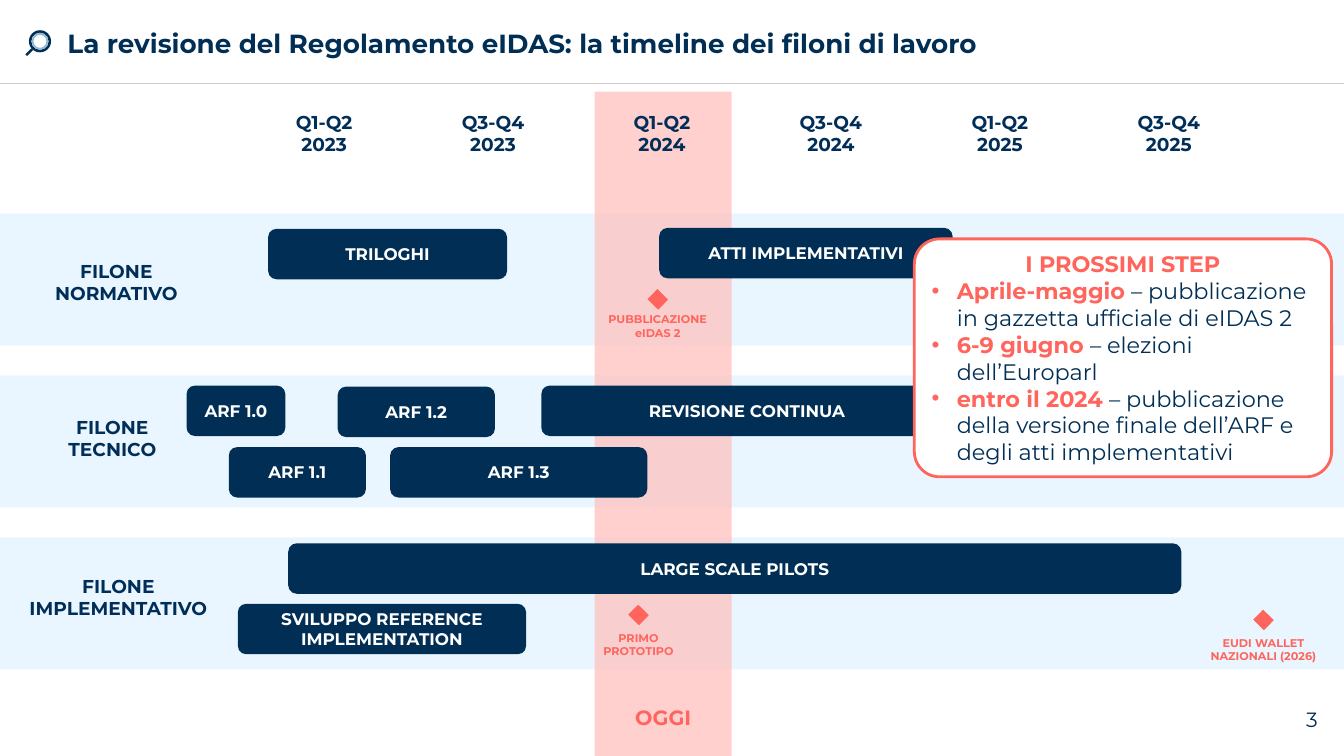
from dataclasses import dataclass
from lxml import etree
from pptx import Presentation
from pptx.dml.color import RGBColor
from pptx.enum.shapes import MSO_CONNECTOR as Line, MSO_SHAPE as Shape
from pptx.enum.text import MSO_ANCHOR as Anchor, PP_ALIGN as Align
from pptx.oxml.ns import qn
from pptx.util import Inches, Pt


@dataclass(frozen=True)
class Theme:
    """Colours, font and type sizes of the slide."""
    navy: str = "002E54"
    label: str = "002E58"
    coral: str = "FF655C"
    today: str = "FFC1BE"
    lane: str = "D4ECFF"
    steel: str = "91B9D0"
    rule: str = "CCCCCC"
    white: str = "FFFFFF"
    font: str = "Montserrat"
    title: float = 18.7
    step: float = 16
    note: float = 14.7
    head: float = 13.3
    bar: float = 12
    tiny: float = 8


T = Theme()
WIDTH, HEIGHT = 13.333, 7.5
LANE_TOP, LANE_PITCH, LANE_H = 28.27, 21.4, 17.47
BAR_H = 6.67

PERIODS = [f"{half}\n{year}" for year in (2023, 2024, 2025) for half in ("Q1-Q2", "Q3-Q4")]
LANES = [
    dict(label=("FILONE NORMATIVO", 8.66, 5.47, 12.4),
         bars=[("TRILOGHI", 19.95, 2, 17.78), ("ATTI IMPLEMENTATIVI", 49.05, 1.87, 21.83)],
         marks=[("PUBBLICAZIONE\neIDAS 2", 48.94, 11.33, 12.4)]),
    dict(label=("FILONE TECNICO", 8.36, 4.67, 12.4),
         bars=[("ARF 1.0", 13.88, 1.33, 7.35), ("ARF 1.1", 17.03, 9.47, 10.2),
               ("ARF 1.2", 25.13, 1.47, 11.7), ("ARF 1.3", 29.03, 9.47, 19.13),
               ("REVISIONE CONTINUA", 40.28, 1.33, 30.6)],
         marks=[]),
    dict(label=("FILONE IMPLEMENTATIVO", 8.81, 4.27, 15.5),
         bars=[("LARGE SCALE PILOTS", 21.45, 0.8, 66.45),
               ("SVILUPPO REFERENCE IMPLEMENTATION", 17.7, 8.8, 21.45)],
         marks=[("PRIMO\nPROTOTIPO", 47.51, 10.27, 11.73),
                ("EUDI WALLET NAZIONALI (2026)", 94.01, 10.93, 12.4)]),
]
STEPS = [
    ("Aprile-maggio", " – pubblicazione in gazzetta ufficiale di eIDAS 2"),
    ("6-9 giugno ", "– elezioni dell’Europarl"),
    ("entro il 2024 ", "– pubblicazione della versione finale dell’ARF e degli atti implementativi"),
]


def at(x, y, w, h):
    """Turn percentages of the slide into lengths."""
    return [Inches(v * side / 100) for v, side in zip((x, y, w, h), (WIDTH, HEIGHT) * 2)]


def style(r, size, color, bold=True):
    """Set the font of a run."""
    for name, value in dict(name=T.font, size=Pt(size), bold=bold).items():
        setattr(r.font, name, value)
    r.font.color.rgb = RGBColor.from_string(color)


def write(sp, text, size, color, bold=True, align=Align.CENTER, anchor=Anchor.TOP):
    """Fill a shape with one paragraph per line of text."""
    tf = sp.text_frame
    tf.word_wrap, tf.vertical_anchor = True, anchor
    for i, line in enumerate(text.split("\n")):
        p = tf.paragraphs[0] if i == 0 else tf.add_paragraph()
        p.alignment = align
        r = p.add_run()
        r.text = line
        style(r, size, color, bold)


def add_text(s, box, text, size, color, **kw):
    """Add a text box."""
    write(s.shapes.add_textbox(*at(*box)), text, size, color, **kw)


def add_shape(s, kind, box, fill, alpha=None, line=None):
    """Add a flat preset shape."""
    sp = s.shapes.add_shape(kind, *at(*box))
    sp.shadow.inherit = False
    sp.fill.solid()
    sp.fill.fore_color.rgb = RGBColor.from_string(fill)
    if alpha:
        clr = sp.fill._xPr.find(qn("a:solidFill"))[0]
        etree.SubElement(clr, qn("a:alpha"), val=str(alpha * 1000))
    if line:
        sp.line.color.rgb = RGBColor.from_string(line)
        sp.line.width = Pt(2)
    else:
        sp.line.fill.background()
    return sp


def add_line(s, start, end, color, width):
    """Add a straight line between two points."""
    x1, y1, x2, y2 = at(*start, *end)
    c = s.shapes.add_connector(Line.STRAIGHT, x1, y1, x2, y2)
    c.line.color.rgb = RGBColor.from_string(color)
    c.line.width = Pt(width)
    etree.SubElement(c._element.spPr, qn("a:effectLst"))


def add_header(s, box):
    """Draw the lens, the title and the rule below."""
    x, y, w, h = box
    add_line(s, (x + 1.95, y + 7.3), (x + 2.4, y + 6.5), T.navy, 1.8)
    for inset, color in ((0, T.navy), (0.2, T.steel)):
        ring = (x + 2.15 + inset, y + 4 + inset * 1.78, 1.65 - 2 * inset, 2.93 - 3.56 * inset)
        add_shape(s, Shape.DONUT, ring, color).adjustments[0] = 0.11
    add_text(s, (x + 4.28, y + 0.27, w - 8.05, h - 0.27),
             "La revisione del Regolamento eIDAS: la timeline dei filoni di lavoro",
             T.title, T.navy, align=Align.LEFT, anchor=Anchor.MIDDLE)
    add_line(s, (x, y + h), (x + w, y + h), T.rule, 1)


def add_today(s, box):
    """Draw the column that marks the present."""
    x, y, w, h = box
    add_shape(s, Shape.RECTANGLE, box, T.today, 75)
    add_text(s, (x, y + h - 7.47, w, 4.67), "OGGI", T.note, T.coral)


def add_periods(s, box):
    """Write the half-years in equal columns."""
    x, y, w, h = box
    col = w / len(PERIODS)
    for i, period in enumerate(PERIODS):
        add_text(s, (x + i * col, y, col, h), period, T.head, T.label)


def add_lane(s, box, label, bars, marks):
    """Place the label, bars and milestones of one lane."""
    x, y, w, h = box
    name, cx, dy, width = label
    add_text(s, (x + cx - width / 2, y + dy, width, 7.33), name, T.head, T.label)
    for name, dx, dy, width in bars:
        sp = add_shape(s, Shape.ROUNDED_RECTANGLE, (x + dx, y + dy, width, BAR_H), T.navy)
        write(sp, name, T.bar, T.white, anchor=Anchor.MIDDLE)
    for name, cx, dy, text_dy in marks:
        sp = add_shape(s, Shape.RECTANGLE, (x + cx - 0.56, y + dy - 0.93, 1.12, 1.87), T.coral)
        sp.rotation = 44.5
        add_text(s, (x + cx - 5.96, y + text_dy, 11.93, 4.93), name, T.tiny, T.coral)


def add_steps(s, box):
    """Draw the callout with the next steps."""
    sp = add_shape(s, Shape.ROUNDED_RECTANGLE, box, T.white, line=T.coral)
    sp.adjustments[0] = 0.106
    write(sp, "I PROSSIMI STEP", T.step, T.coral, anchor=Anchor.MIDDLE)
    for when, what in STEPS:
        p = sp.text_frame.add_paragraph()
        p.alignment = Align.LEFT
        pPr = p._p.get_or_add_pPr()
        for key, value in dict(marL=Inches(0.25), indent=-Inches(0.25)).items():
            pPr.set(key, str(value))
        clr = etree.SubElement(pPr, qn("a:buClr"))
        etree.SubElement(clr, qn("a:srgbClr"), val=T.coral)
        etree.SubElement(pPr, qn("a:buFont"), typeface="Arial")
        etree.SubElement(pPr, qn("a:buChar"), char="•")
        for text, color, bold in ((when, T.coral, True), (what, T.navy, False)):
            r = p.add_run()
            r.text = text
            style(r, T.step, color, bold)


def main():
    """Build the timeline slide and save it."""
    prs = Presentation()
    prs.slide_width, prs.slide_height = Inches(WIDTH), Inches(HEIGHT)
    s = prs.slides.add_slide(prs.slide_layouts[6])
    lanes = [(0, LANE_TOP + i * LANE_PITCH, 100, LANE_H) for i in range(len(LANES))]
    add_header(s, (0, 0, 100, 11.07))
    for box in lanes:
        add_shape(s, Shape.RECTANGLE, box, T.lane, 47)
    add_today(s, (44.25, 12.13, 10.2, 87.87))
    add_periods(s, (17.83, 14, 75.42, 7.33))
    for box, lane in zip(lanes, LANES):
        add_lane(s, box, **lane)
    add_steps(s, (68.03, 31.6, 31.05, 31.47))
    add_text(s, (76.28, 92.53, 22.5, 5.33), "3", T.note, T.navy,
             bold=False, align=Align.RIGHT, anchor=Anchor.MIDDLE)
    prs.save("out.pptx")


if __name__ == "__main__":
    main()
